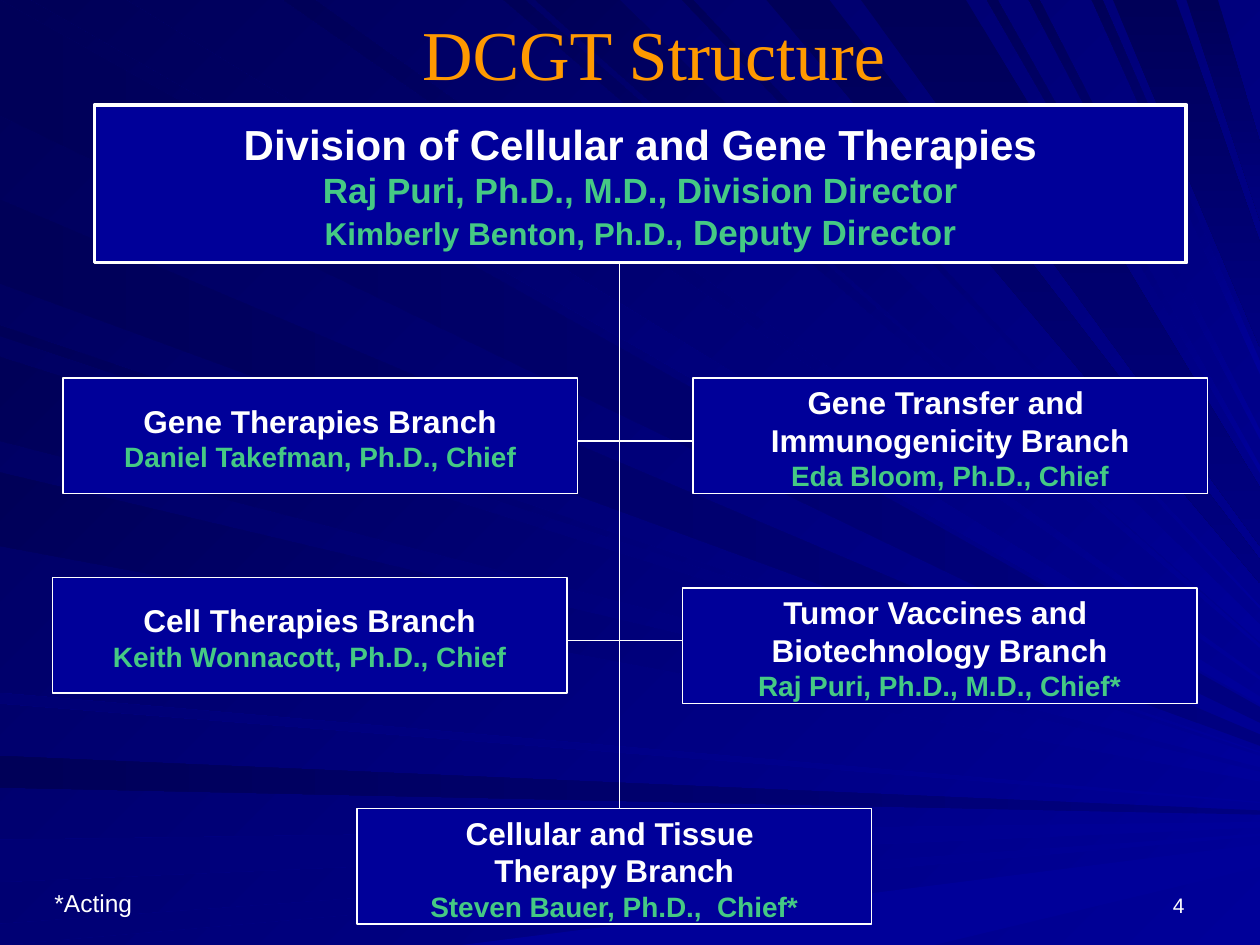
from typing import NamedTuple

from lxml.etree import SubElement
from pptx import Presentation
from pptx.dml.color import RGBColor
from pptx.dml.fill import FillFormat
from pptx.enum.shapes import MSO_CONNECTOR, MSO_SHAPE
from pptx.enum.text import MSO_ANCHOR, MSO_AUTO_SIZE, PP_ALIGN
from pptx.oxml.ns import qn
from pptx.util import Inches, Pt

# Grid of 120 columns by 90 rows
COLS, ROWS = 120, 90
WIDE, HIGH = Inches(10), Inches(7.5)
COL, ROW = WIDE / COLS, HIGH / ROWS
NAVY, DEEP, DARK = "000099", "000080", "000058"
WHITE, GREEN, GOLD = "FFFFFF", "45C984", "FF9900"
SANS, SERIF = "Arial", "Times New Roman"
FOCUS = (139, 78)  # where all rays meet, right of the slide


class Fan(NamedTuple):
    side: str
    spans: list  # start and end of each ray along that side
    hues: tuple
    turn: int = 0


class Run(NamedTuple):
    text: str
    size: float
    hue: str = WHITE
    bold: bool = True
    face: str = SANS


class Box(NamedTuple):
    col: float
    row: float
    cols: float
    rows: float
    lines: list
    edge: float = 0.75


class Link(NamedTuple):
    col: float
    row: float
    to_col: float
    to_row: float


def branch(col: float, row: float, names: list, chief: str) -> Box:
    lines = [[Run(name, 18)] for name in names]
    return Box(col, row, 49, 11, lines + [[Run(chief, 16, GREEN)]])


FANS = [
    Fan("left", [(0, 11), (19, 27), (72, 75)], (DEEP, DARK), 180),
    Fan("left", [(66, 67), (80, 84), (88, 90)], (NAVY, "000074"), 180),
    Fan("base", [(44, 89)], (NAVY,)),
    Fan("left", [(31, 32), (34, 42), (45, 52)], (NAVY, DARK), 225),
    Fan("top", [(3, 12), (27, 30), (48, 50), (51, 59), (65, 66),
                (94, 95), (98, 99), (104, 105)], (NAVY, DARK), 225),
    Fan("top", [(73, 79), (82, 92), (106, 112), (113, 116)], (DARK, DEEP), 90),
]

BOXES = [
    Box(9, 10, 104, 15, [
        [Run("Division of Cellular and Gene Therapies", 24)],
        [Run("Raj Puri, Ph.D., M.D., Division Director", 20, GREEN)],
        [Run("Kimberly Benton, Ph.D.,", 18, GREEN), Run(" Deputy Director", 20, GREEN)],
    ], 2.25),
    branch(34, 77, ["Cellular and Tissue ", "Therapy Branch"], "Steven Bauer, Ph.D.,  Chief*"),
    branch(65, 56, ["Tumor Vaccines and ", "Biotechnology Branch"], "Raj Puri, Ph.D., M.D., Chief*"),
    branch(5, 55, ["Cell Therapies Branch"], "Keith Wonnacott, Ph.D., Chief"),
    branch(6, 36, ["Gene Therapies Branch"], "Daniel Takefman, Ph.D., Chief"),
    branch(66, 36, ["Gene Transfer and ", "Immunogenicity Branch"], "Eda Bloom, Ph.D., Chief"),
]
LINKS = [Link(55, 42, 66, 42), Link(54, 61, 65, 61), Link(59, 25, 59, 77)]


def tint(hue: str) -> RGBColor:
    return RGBColor.from_string(hue)


def apply(item, form: dict) -> None:
    for key, value in form.items():
        setattr(item, key, value)


def paint(fill: FillFormat, hues: tuple, turn: int = 0) -> None:
    if len(hues) == 1:
        fill.solid()
        fill.fore_color.rgb = tint(hues[0])
        return
    fill.gradient()
    fill.gradient_angle = (360 - turn) % 360  # turn runs clockwise
    for stop, hue in zip(fill.gradient_stops, hues):
        stop.color.rgb = tint(hue)


def area(col: float, row: float, cols: float, rows: float) -> tuple:
    return round(col * COL), round(row * ROW), round(cols * COL), round(rows * ROW)


def write(frame, lines: list, align: PP_ALIGN, form: dict) -> None:
    apply(frame, {"word_wrap": False, "auto_size": MSO_AUTO_SIZE.NONE, **form})
    for num, line in enumerate(lines):
        para = frame.add_paragraph() if num else frame.paragraphs[0]
        para.alignment = align
        for part in line:
            run = para.add_run()
            run.text = part.text
            apply(run.font, {"size": Pt(part.size), "bold": part.bold, "name": part.face})
            run.font.color.rgb = tint(part.hue)


def root(side: str, along: float) -> tuple:
    return {"left": (0, along), "top": (along, 0), "base": (along, ROWS)}[side]


def tip(start: tuple) -> tuple:
    """Where a ray from start to the focus leaves the slide."""
    share = (COLS - start[0]) / (FOCUS[0] - start[0])
    return COLS, start[1] + share * (FOCUS[1] - start[1])


def draw_fan(shapes, fan: Fan) -> None:
    for span in fan.spans:
        near, far = (root(fan.side, along) for along in span)
        spots = [(round(col * COL), round(row * ROW))
                 for col, row in (near, far, tip(far), tip(near))]
        pen = shapes.build_freeform(*spots[0])
        pen.add_line_segments(spots[1:], close=True)
        shape = pen.convert_to_shape()
        shape.shadow.inherit = False
        shape.line.fill.background()
        paint(shape.fill, fan.hues, fan.turn)


def draw_box(shapes, box: Box) -> None:
    shape = shapes.add_shape(MSO_SHAPE.RECTANGLE, *area(*box[:4]))
    shape.shadow.inherit = False
    paint(shape.fill, (NAVY,))
    paint(shape.line.fill, (WHITE,))
    shape.line.width = Pt(box.edge)
    write(shape.text_frame, box.lines, PP_ALIGN.CENTER,
          {"vertical_anchor": MSO_ANCHOR.MIDDLE, "margin_top": Inches(0.08)})


def draw_link(shapes, link: Link) -> None:
    line = shapes.add_connector(MSO_CONNECTOR.STRAIGHT, *area(*link))
    paint(line.line.fill, (WHITE,))
    line.line.width = Pt(1)
    SubElement(line.element.spPr, qn("a:effectLst"))


def main() -> None:
    deck = Presentation()
    apply(deck, {"slide_width": WIDE, "slide_height": HIGH})
    slide = deck.slides.add_slide(deck.slide_layouts[5])
    shapes = slide.shapes

    # Backdrop of rays
    paint(slide.background.fill, (NAVY, DARK), 225)
    rays = shapes.add_group_shape().shapes
    for fan in FANS:
        draw_fan(rays, fan)

    # Chart of branches
    for box in BOXES:
        draw_box(shapes, box)
    for link in LINKS:
        draw_link(shapes, link)

    # Title, brought in front of the rays
    title = shapes.title
    shapes.element.append(title.element)
    apply(title, dict(zip(("left", "top", "width", "height"), area(39, 0.4, 48, 9))))
    write(title.text_frame, [[Run("DCGT Structure", 40, GOLD, False, SERIF)]],
          PP_ALIGN.LEFT, {"vertical_anchor": MSO_ANCHOR.TOP})

    # Footnote and slide number
    note = shapes.add_textbox(*area(4, 84, 10, 4))
    write(note.text_frame, [[Run("*Acting", 14, bold=False)]], PP_ALIGN.LEFT, {})
    page = shapes.add_textbox(*area(86, 82, 28, 6))
    write(page.text_frame, [[Run("4", 12, bold=False)]], PP_ALIGN.RIGHT,
          {"word_wrap": True, "vertical_anchor": MSO_ANCHOR.BOTTOM})

    deck.save("out.pptx")


if __name__ == "__main__":
    main()
